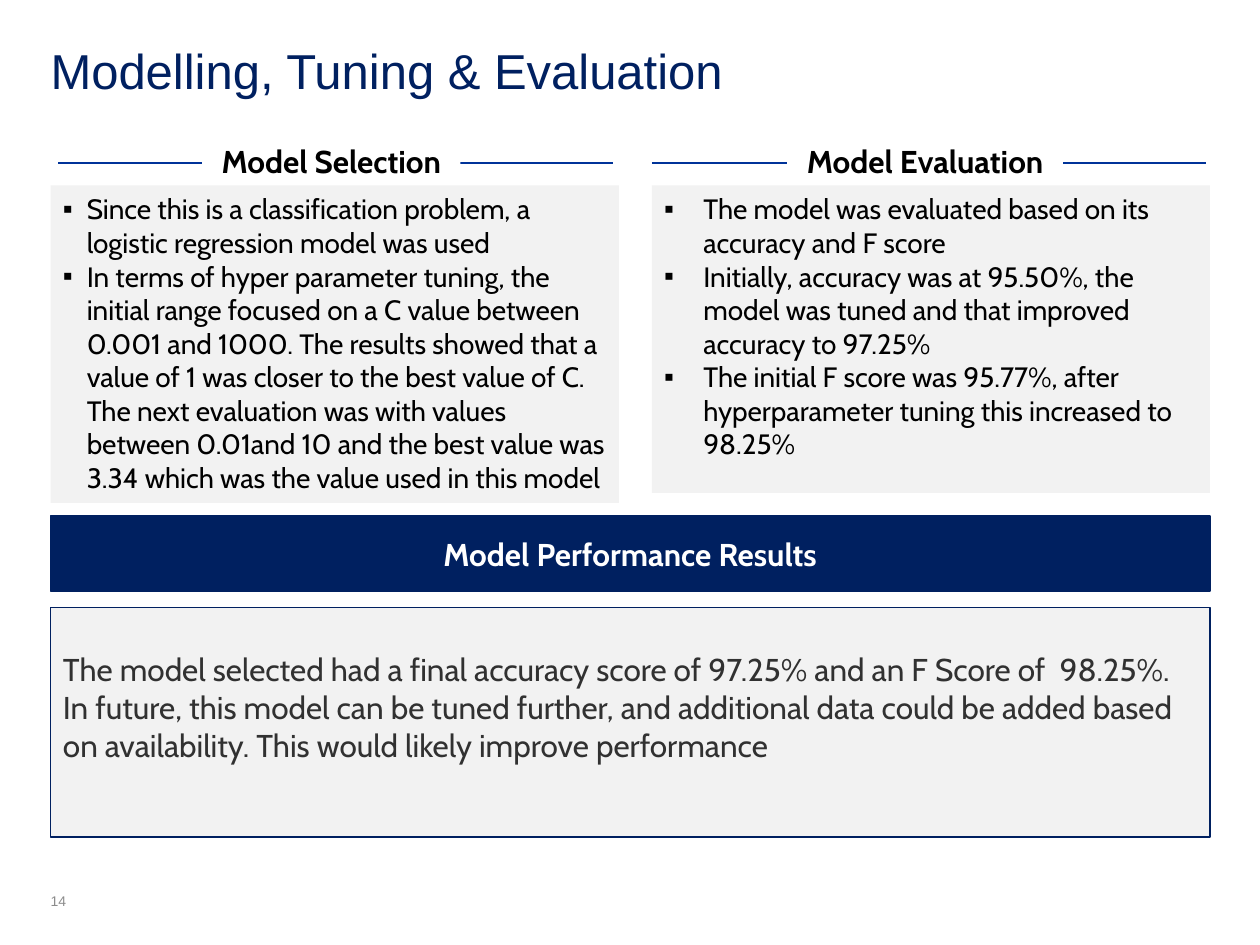
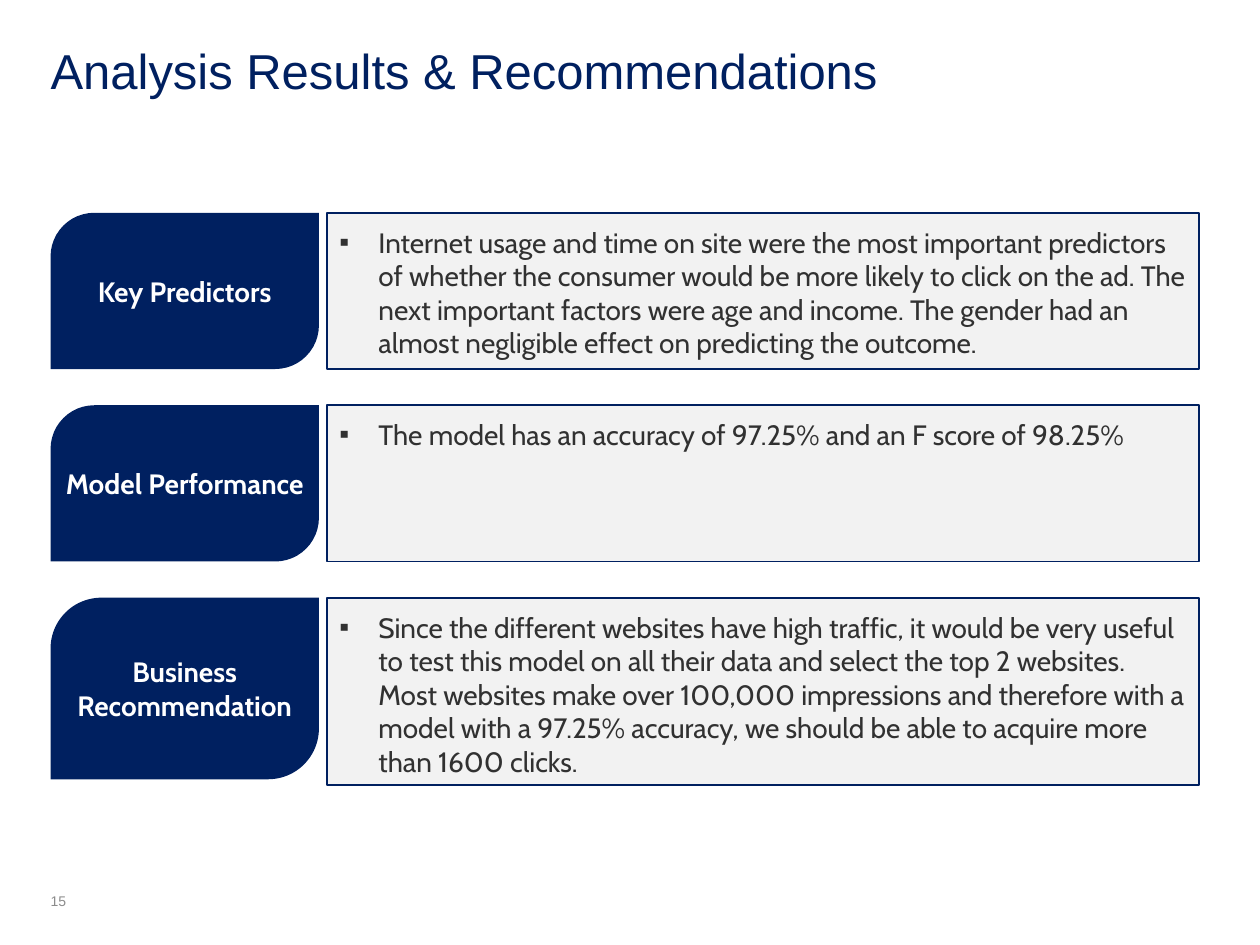
from dataclasses import dataclass

from lxml import etree
from pptx import Presentation
from pptx import util as u
from pptx.dml.color import RGBColor
from pptx.enum import shapes, text
from pptx.oxml import ns


@dataclass(frozen=True)
class Theme:
    navy: str = "002060"
    rule: str = "003399"
    panel: str = "F2F2F2"
    white: str = "FFFFFF"
    black: str = "000000"
    body: str = "313131"
    muted: str = "8C8C8C"
    heading_font: str = "Arial"
    body_font: str = "Cabin"
    title_size: int = 28
    large_size: int = 18
    text_size: int = 16
    number_size: int = 8
    line_width: int = 1
    left: float = 1.02
    width: float = 23.37


THEME = Theme()
RECTANGLE = shapes.MSO_SHAPE.RECTANGLE
LEAF = shapes.MSO_SHAPE.ROUND_2_DIAG_RECTANGLE
CENTER = text.PP_ALIGN.CENTER
MIDDLE = text.MSO_ANCHOR.MIDDLE


def apply(target, values):
    for name, value in values.items():
        setattr(target, name, value)


def add_bullet(paragraph, indent):
    properties = paragraph._p.get_or_add_pPr()
    properties.set("marL", str(u.Cm(indent)))
    properties.set("indent", str(-u.Cm(indent)))
    for tag, name, value in (("a:buFont", "typeface", "Arial"), ("a:buChar", "char", "▪")):
        etree.SubElement(properties, ns.qn(tag)).set(name, value)


def write(shape, paragraphs, size, color, font=THEME.body_font, bold=False, align=None,
          anchor=text.MSO_ANCHOR.TOP, insets=(0.25, 0.25), wrap=True, bullet=None, spacing=None):
    """Fill a shape with text; insets are (horizontal, vertical) in cm."""
    side, edge = (u.Cm(inset) for inset in insets)
    frame = shape.text_frame
    apply(frame, dict(margin_left=side, margin_right=side, margin_top=edge,
                      margin_bottom=edge, word_wrap=wrap, vertical_anchor=anchor))
    for index, words in enumerate(paragraphs):
        paragraph = frame.add_paragraph() if index else frame.paragraphs[0]
        apply(paragraph, dict(alignment=align or text.PP_ALIGN.LEFT, line_spacing=spacing))
        if bullet:
            add_bullet(paragraph, bullet)
        run = paragraph.add_run()
        run.text = words
        apply(run.font, dict(size=u.Pt(size), name=font, bold=bold))
        run.font.color.rgb = RGBColor.from_string(color)


def add_box(slide, box, fill, line=None, preset=RECTANGLE):
    shape = slide.shapes.add_shape(preset, *map(u.Cm, box))
    shape.shadow.inherit = False
    shape.fill.solid()
    shape.fill.fore_color.rgb = RGBColor.from_string(fill)
    if line:
        shape.line.color.rgb = RGBColor.from_string(line)
        shape.line.width = u.Pt(THEME.line_width)
    else:
        shape.line.fill.background()
    return shape


def add_rule(slide, left, y, width):
    rule = slide.shapes.add_connector(shapes.MSO_CONNECTOR.STRAIGHT,
                                      *map(u.Cm, (left, y, left + width, y)))
    rule.line.color.rgb = RGBColor.from_string(THEME.rule)
    rule.line.width = u.Pt(THEME.line_width)
    etree.SubElement(rule._element.spPr, ns.qn("a:effectLst"))


def add_slide(presentation, title, number):
    """Blank slide with the shared title and slide number."""
    slide = presentation.slides.add_slide(presentation.slide_layouts[6])
    for words, box, size, color, anchor in (
        (number, (THEME.left, 18.01, 1.27, 0.33), THEME.number_size, THEME.muted,
         text.MSO_ANCHOR.BOTTOM),
        (title, (THEME.left, 0.81, THEME.width, 1.3), THEME.title_size, THEME.navy,
         text.MSO_ANCHOR.TOP),
    ):
        write(slide.shapes.add_textbox(*map(u.Cm, box)), [words], size, color,
              font=THEME.heading_font, anchor=anchor, insets=(0, 0))
    return slide


def add_column(slide, box, heading, label_width, points, indent, rule_offset):
    """Bulleted panel under a heading that interrupts a rule."""
    left, top, _, _ = box
    rule_width, label_height = 11.18, 0.74
    rule_left, rule_y = left + rule_offset, top - 0.46
    write(add_box(slide, box, THEME.panel), points, THEME.text_size, THEME.black,
          insets=(0.25, 0.13), bullet=indent)
    add_rule(slide, rule_left, rule_y, rule_width)
    label_left = rule_left + (rule_width - label_width) / 2 - 0.08
    label = add_box(slide, (label_left, rule_y - label_height / 2, label_width, label_height),
                    THEME.white)
    write(label, [heading], THEME.large_size, THEME.black, bold=True, align=CENTER,
          anchor=MIDDLE, insets=(0.2, 0), wrap=False, spacing=0.95)


def add_results(slide, box, heading, summary):
    """Navy band above an outlined summary."""
    left, top, width, height = box
    band_height, gap = 1.52, 0.33
    band = add_box(slide, (left, top, width, band_height), THEME.navy, THEME.navy)
    write(band, [heading], THEME.large_size, THEME.white, bold=True, align=CENTER,
          anchor=MIDDLE, insets=(0.1, 0.1))
    offset = band_height + gap
    panel = add_box(slide, (left, top + offset, width, height - offset),
                    THEME.panel, THEME.navy)
    write(panel, [summary], THEME.large_size, THEME.body, insets=(0.25, 0.86))


def add_finding(slide, box, tag_height, heading, finding):
    """Leaf-shaped tag with its finding on the right."""
    left, top, width, height = box
    tag_width, gap = 5.41, 0.16
    tag = add_box(slide, (left, top, tag_width, tag_height), THEME.navy, preset=LEAF)
    tag.adjustments[0] = 0.28
    # The rounded corners already inset the text area
    write(tag, [heading], THEME.text_size, THEME.white, bold=True, align=CENTER,
          anchor=MIDDLE, insets=(0, 0))
    offset = tag_width + gap
    panel = add_box(slide, (left + offset, top, width - offset, height),
                    THEME.panel, THEME.navy)
    write(panel, [finding], THEME.text_size, THEME.body, bullet=0.79)


def build_modelling(presentation):
    slide = add_slide(presentation, "Modelling, Tuning & Evaluation", "14")
    # Selection and evaluation columns
    add_column(slide, (THEME.left, 3.74, 11.46, 6.4), "Model Selection", 5.21, [
        "Since this is a classification problem, a logistic regression model was used",
        "In terms of hyper parameter tuning, the initial range focused on a C value between "
        "0.001 and 1000. The results showed that a value of 1 was closer to the best value "
        "of C. The next evaluation was with values between 0.01and 10 and the best value "
        "was 3.34 which was the value used in this model",
    ], indent=0.48, rule_offset=0.15)
    add_column(slide, (13.14, 3.74, 11.25, 6.2), "Model Evaluation", 5.56, [
        "The model was evaluated based on its accuracy and F score",
        "Initially, accuracy was at 95.50%, the model was tuned and that improved accuracy "
        "to 97.25%",
        "The initial F score was 95.77%, after hyperparameter tuning this increased to 98.25%",
    ], indent=0.79, rule_offset=0)
    # Performance results
    add_results(slide, (THEME.left, 10.4, THEME.width, 6.47), "Model Performance Results",
                "The model selected had a final accuracy score of 97.25% and an F Score of  "
                "98.25%. In future, this model can be tuned further, and additional data could "
                "be added based on availability. This would likely improve performance")


def build_recommendations(presentation):
    slide = add_slide(presentation, "Analysis Results & Recommendations", "15")
    # Findings: heading, tag height, panel height, text
    findings = [
        ("Key Predictors", 3.15, 3.15,
         "Internet usage and time on site were the most important predictors of whether the "
         "consumer would be more likely to click on the ad. The next important factors were "
         "age and income. The gender had an almost negligible effect on predicting the "
         "outcome."),
        ("Model Performance", 3.15, 3.15,
         "The model has an accuracy of 97.25% and an F score of 98.25%"),
        ("Business Recommendation", 3.66, 3.78,
         "Since the different websites have high traffic, it would be very useful to test "
         "this model on all their data and select the top 2 websites. Most websites make "
         "over 100,000 impressions and therefore with a model with a 97.25% accuracy, we "
         "should be able to acquire more than 1600 clicks."),
    ]
    top, pitch = 4.29, 3.88
    for index, (heading, tag_height, height, finding) in enumerate(findings):
        add_finding(slide, (THEME.left, top + index * pitch, 23.15, height),
                    tag_height, heading, finding)


def main():
    presentation = Presentation()
    apply(presentation, dict(slide_width=u.Cm(25.4), slide_height=u.Cm(19.05)))
    build_modelling(presentation)
    build_recommendations(presentation)
    presentation.save("out.pptx")


if __name__ == "__main__":
    main()
